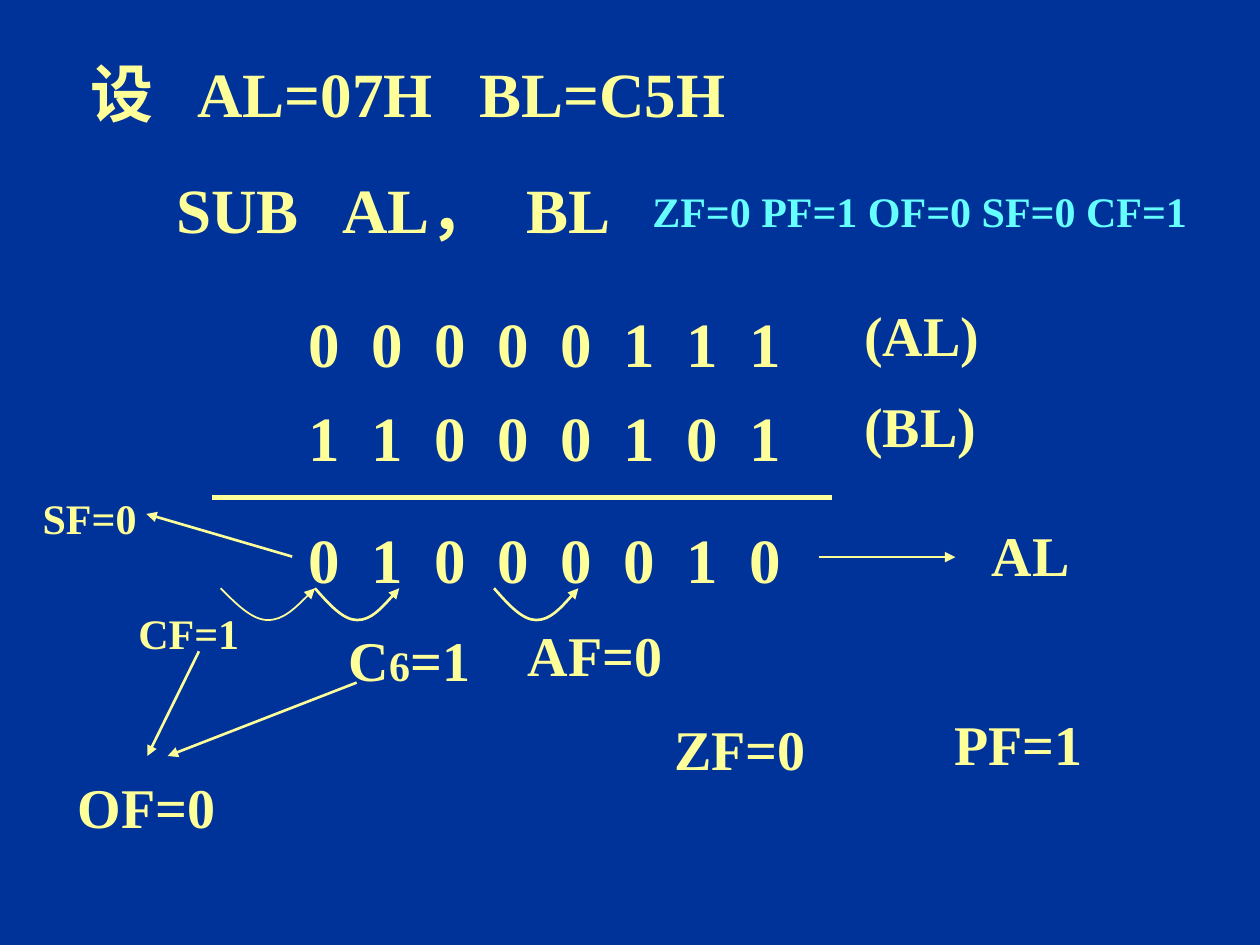
from pptx import Presentation
from pptx.dml.color import RGBColor
from pptx.enum.shapes import MSO_CONNECTOR
from pptx.enum.text import MSO_ANCHOR, MSO_AUTO_SIZE, PP_ALIGN
from pptx.oxml.ns import qn
from pptx.util import Cm, Pt
from lxml.etree import SubElement

NAVY = RGBColor(0x00, 0x33, 0x99)
YELLOW = RGBColor(0xFF, 0xFF, 0x99)
CYAN = RGBColor(0x66, 0xFF, 0xFF)
FONT = "Times New Roman"
BIT_PITCH = 1.27  # distance between neighbouring bits, in cm


def write_text(shape, *parts, size=32, color=YELLOW, centered=False, tabs=()):
    """Fill a shape with one bold line; a part is text or a (text, size) pair."""
    frame = shape.text_frame
    frame.word_wrap = True
    frame.auto_size = MSO_AUTO_SIZE.NONE
    frame.vertical_anchor = MSO_ANCHOR.TOP
    frame.margin_left = Cm(0.25)
    frame.margin_right = Cm(0.25 if centered else 0)
    frame.margin_top = frame.margin_bottom = Cm(0.13)
    paragraph = frame.paragraphs[0]
    paragraph.alignment = PP_ALIGN.CENTER if centered else PP_ALIGN.LEFT
    if tabs:
        tab_list = SubElement(paragraph._p.get_or_add_pPr(), qn("a:tabLst"))
        for position in tabs:
            SubElement(tab_list, qn("a:tab"), pos=str(Cm(position)), algn="l")
    for part in parts:
        text, part_size = (part, size) if isinstance(part, str) else part
        run = paragraph.add_run()
        run.text = text
        run.font.name = FONT
        run.font.size = Pt(part_size)
        run.font.bold = True
        run.font.color.rgb = color


def add_text(slide, left, top, width, height, *parts, **text_format):
    shape = slide.shapes.add_textbox(Cm(left), Cm(top), Cm(width), Cm(height))
    write_text(shape, *parts, **text_format)


def style_line(shape, width, arrow):
    shape.line.color.rgb = YELLOW
    shape.line.width = Pt(width)
    if arrow:
        SubElement(shape.line._get_or_add_ln(), qn("a:tailEnd"), type="triangle")


def add_line(slide, start, end, width=1.5, arrow=True):
    connector = slide.shapes.add_connector(
        MSO_CONNECTOR.STRAIGHT, *(Cm(value) for value in (*start, *end)))
    style_line(connector, width, arrow)
    SubElement(connector._element.spPr, qn("a:effectLst"))


def add_carry_arc(slide, left, top, width, height=0.64, line_width=1.5):
    """Draw a hanging arc of two Bezier curves, with an arrow at its right end."""
    fractions = [(1 / 6, 0.5), (1 / 3, 1), (0.5, 1), (2 / 3, 1), (5 / 6, 0.5), (1, 0)]
    builder = slide.shapes.build_freeform(Cm(left), Cm(top))
    builder.add_line_segments(
        [(Cm(left + width * x), Cm(top + height * y)) for x, y in fractions], close=False)
    arc = builder.convert_to_shape()
    # Turn each three line points into one cubic curve
    segments = list(arc._element.iter(qn("a:lnTo")))
    outline = segments[0].getparent()
    for first in (0, 3):
        curve = SubElement(outline, qn("a:cubicBezTo"))
        for segment in segments[first:first + 3]:
            curve.append(segment[0])
            outline.remove(segment)
    arc.shadow.inherit = False
    arc.fill.background()
    style_line(arc, line_width, True)


def add_problem(slide, left, top):
    # Operands, instruction and resulting flags
    title = slide.shapes.title
    title.left, title.top = Cm(left), Cm(top)
    title.width, title.height = Cm(13.31), Cm(1.78)
    write_text(title, "设\tAL=07H\tBL=C5H", size=36, tabs=(2.16, 7.85))
    add_text(slide, left + 1.73, top + 2.34, 9.27, 1.78, "SUB\tAL，\tBL",
             size=36, tabs=(3.35, 7.06))
    add_text(slide, left + 11.33, top + 2.64, 11.63, 1.27,
             "ZF=0 PF=1 OF=0 SF=0 CF=1", size=24, color=CYAN)


def add_subtraction(slide, left, top):
    # Rows of bits
    stops = [BIT_PITCH * place for place in range(1, 8)]
    for offset, bits in ((0.08, "00000111"), (1.98, "11000101"), (4.45, "01000010")):
        add_text(slide, left + 1.7, top + offset, 10.03, 1.78, "\t".join(bits),
                 size=36, tabs=stops)
    # Register names
    for x, y, name in ((12.9, 0, "(AL)"), (12.9, 1.85, "(BL)"), (15.47, 4.45, "AL")):
        add_text(slide, left + x, top + y, 2.82, 1.63, name)
    # Rule above the result, and arrow to its register
    add_line(slide, (left, top + 4.11), (left + 12.5, top + 4.11), width=3, arrow=False)
    add_line(slide, (left + 12.24, top + 5.31), (left + 14.99, top + 5.31))


def add_flags(slide, left, top):
    # Flag labels
    labels = [
        (0, 0, 2.39, "SF=0", 24, False),
        (1.93, 2.31, 2.54, "CF=1", 24, False),
        (9.78, 2.57, 3.23, "AF=0", 32, False),
        (12.73, 4.47, 3.15, "ZF=0", 32, False),
        (17.81, 4.37, 4.24, "PF=1", 32, True),
        (0.66, 5.64, 3.38, "OF=0", 32, True),
    ]
    for x, y, width, text, size, centered in labels:
        add_text(slide, left + x, top + y, width, 1.27 if size == 24 else 1.63, text,
                 size=size, centered=centered)
    add_text(slide, left + 6.17, top + 2.69, 2.95, 1.63, "C", ("6", 24), "=1")
    # Carries between bits
    for x, width, line_width in ((3.84, 1.9, 1), (5.74, 1.7, 1.5), (9.35, 1.7, 1.5)):
        add_carry_arc(slide, left + x, top + 2.06, width, line_width=line_width)
    # Arrows to SF and OF
    for x1, y1, x2, y2 in ((5.28, 1.42, 2.34, 0.56), (3.4, 3.33, 2.36, 5.44),
                           (6.58, 3.96, 2.77, 5.44)):
        add_line(slide, (left + x1, top + y1), (left + x2, top + y2))


def main():
    presentation = Presentation()
    presentation.slide_width, presentation.slide_height = Cm(25.4), Cm(19.05)
    slide = presentation.slides.add_slide(presentation.slide_layouts[5])
    slide.background.fill.solid()
    slide.background.fill.fore_color.rgb = NAVY
    add_problem(slide, 1.57, 0.97)
    add_subtraction(slide, 4.27, 5.92)
    add_flags(slide, 0.61, 9.8)
    presentation.save("out.pptx")


if __name__ == "__main__":
    main()
